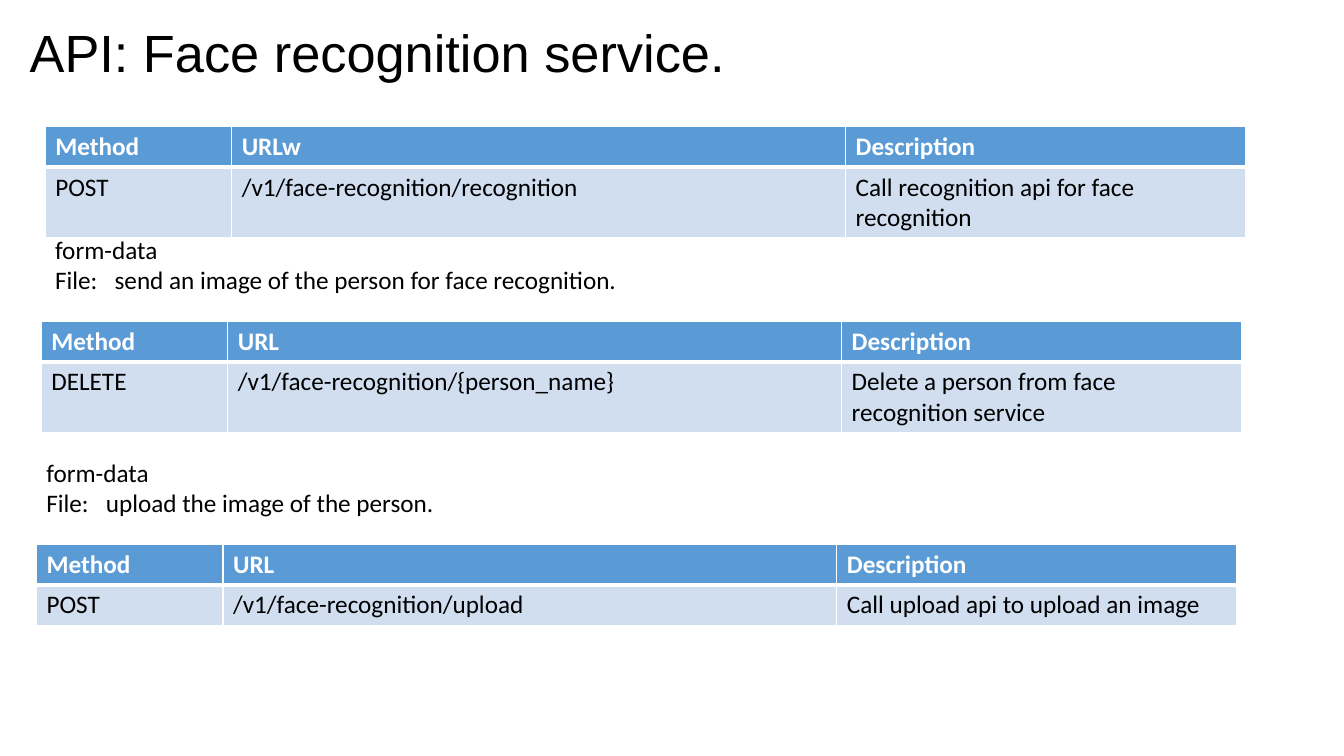
"""Build the slide that documents the face recognition API."""
from dataclasses import dataclass

from lxml import etree
from pptx import Presentation
from pptx.dml.color import RGBColor
from pptx.oxml import ns
from pptx.util import Cm, Pt

BLACK, WHITE = "000000", "FFFFFF"
HEADER_FILL, BODY_FILL = "5B9BD5", "D1DEEF"
COLUMN_WIDTHS = (4.7, 15.47, 10.08)
THIN, THICK = 0.96, 3


@dataclass
class Endpoint:
    left: float
    top: float
    row_height: float
    url_label: str
    values: tuple[str, str, str]


@dataclass
class Note:
    left: float
    top: float
    width: float
    height: float
    lines: tuple[str, ...]
    font: str = "Calibri"
    size: float = 18


ENDPOINTS = (
    Endpoint(1.14, 3.18, 1.03, "URLw",
             ("POST", "/v1/face-recognition/recognition",
              "Call recognition api for face recognition")),
    Endpoint(1.04, 8.1, 0.99, "URL",
             ("DELETE", "/v1/face-recognition/{person_name}",
              "Delete a person from face recognition service")),
    Endpoint(0.92, 13.72, 0.99, "URL",
             ("POST", "/v1/face-recognition/upload",
              "Call upload api to upload an image")),
)

NOTES = (
    Note(0.5, 0.38, 18.3, 1.83, ("API: Face recognition service.",),
         font="Arial", size=37.4),
    Note(1.14, 5.77, 23.1, 1.78,
         ("form-data", "File:\tsend an image of the person for face recognition.")),
    Note(0.92, 11.4, 23.1, 1.78,
         ("form-data", "File:\tupload the image of the person.")),
)


def rgb(value: str) -> RGBColor:
    """Turn a hex string into a colour."""
    return RGBColor.from_string(value)


def write(p, content: str, *, font: str = "Calibri", size: float = 18,
          color: str = BLACK, bold: bool = False) -> None:
    """Add one formatted run to a paragraph."""
    r = p.add_run()
    r.text = content
    r.font.name, r.font.size, r.font.bold = font, Pt(size), bold
    r.font.color.rgb = rgb(color)


def add_tab_stop(p, position: float) -> None:
    """Give a paragraph one left tab stop."""
    tabs = etree.SubElement(p._p.get_or_add_pPr(), ns.qn("a:tabLst"))
    etree.SubElement(tabs, ns.qn("a:tab"), pos=str(Cm(position)), algn="l")


def set_borders(cell, top: float, bottom: float) -> None:
    """Draw white borders around a cell."""
    tc_pr = cell._tc.get_or_add_tcPr()
    widths = {"lnL": THIN, "lnR": THIN, "lnT": top, "lnB": bottom}
    for i, (side, width) in enumerate(widths.items()):
        line = etree.Element(ns.qn(f"a:{side}"), w=str(Pt(width)))
        fill = etree.SubElement(line, ns.qn("a:solidFill"))
        etree.SubElement(fill, ns.qn("a:srgbClr"), val=WHITE)
        tc_pr.insert(i, line)


def add_note(s, note: Note) -> None:
    """Add a text box with one paragraph per line."""
    box = s.shapes.add_textbox(Cm(note.left), Cm(note.top),
                               Cm(note.width), Cm(note.height))
    tf = box.text_frame
    tf.word_wrap = True
    for i, line in enumerate(note.lines):
        p = tf.add_paragraph() if i else tf.paragraphs[0]
        if "\t" in line:
            add_tab_stop(p, 1.5)
        write(p, line, font=note.font, size=note.size)


def add_endpoint(s, endpoint: Endpoint) -> None:
    """Add the table of one endpoint."""
    rows = (("Method", endpoint.url_label, "Description"), endpoint.values)
    table = s.shapes.add_table(
        len(rows), len(COLUMN_WIDTHS), Cm(endpoint.left), Cm(endpoint.top),
        Cm(sum(COLUMN_WIDTHS)), Cm(endpoint.row_height * len(rows))).table
    for column, width in zip(table.columns, COLUMN_WIDTHS):
        column.width = Cm(width)
    for i, row in enumerate(rows):
        header = i == 0
        table.rows[i].height = Cm(endpoint.row_height)
        for j, content in enumerate(row):
            cell = table.cell(i, j)
            cell.fill.solid()
            cell.fill.fore_color.rgb = rgb(HEADER_FILL if header else BODY_FILL)
            set_borders(cell, top=THIN if header else THICK,
                        bottom=THICK if header else THIN)
            write(cell.text_frame.paragraphs[0], content,
                  color=WHITE if header else BLACK, bold=header)


def main() -> None:
    """Build and save the slide."""
    prs = Presentation()
    prs.slide_width, prs.slide_height = Cm(33.87), Cm(19.05)
    s = prs.slides.add_slide(prs.slide_layouts[6])
    for note in NOTES:
        add_note(s, note)
    for endpoint in ENDPOINTS:
        add_endpoint(s, endpoint)
    prs.save("out.pptx")


if __name__ == "__main__":
    main()
